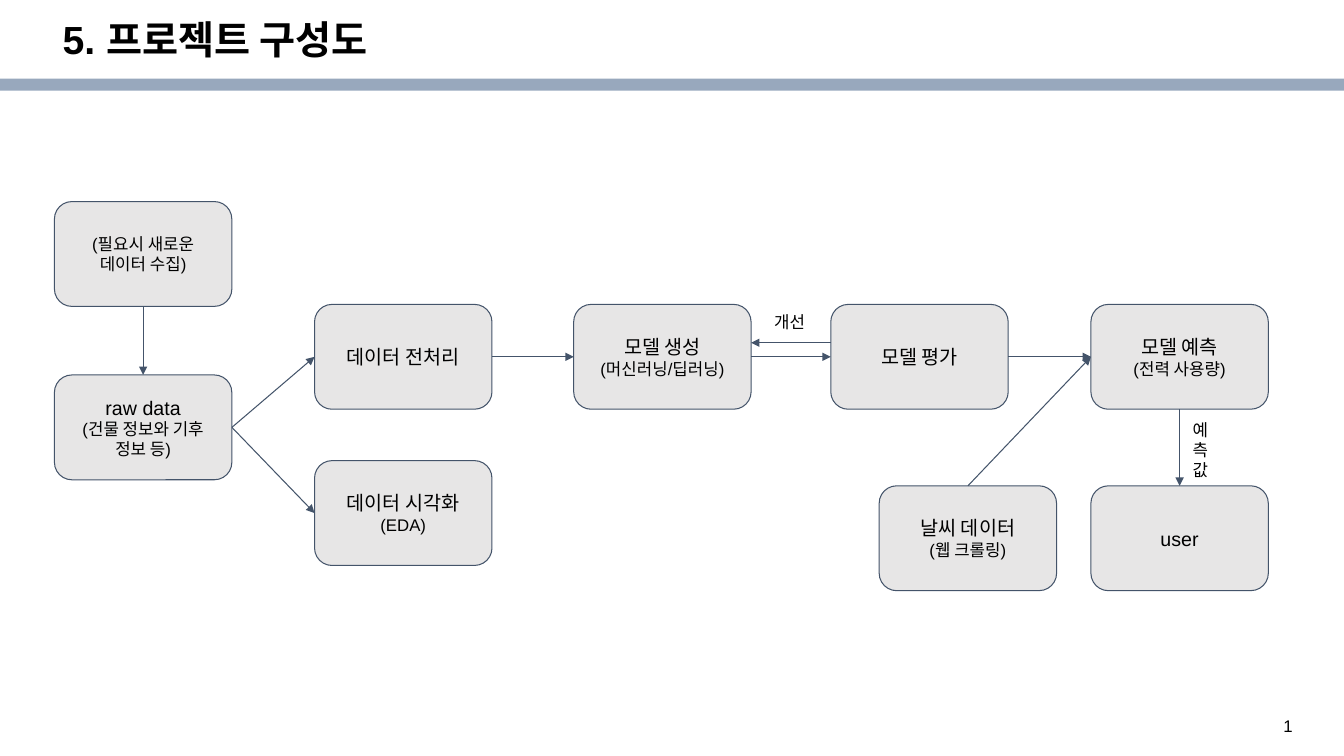
import pptx
import pptx.util
import pptx.dml.color
import pptx.enum.shapes
import pptx.enum.text
import pptx.oxml
import pptx.oxml.ns
import lxml.etree

Inches, Pt = pptx.util.Inches, pptx.util.Pt
RGBColor = pptx.dml.color.RGBColor
Anchor = pptx.enum.text.MSO_ANCHOR
Align = pptx.enum.text.PP_ALIGN
AutoSize = pptx.enum.text.MSO_AUTO_SIZE
Preset = pptx.enum.shapes.MSO_SHAPE
STRAIGHT = pptx.enum.shapes.MSO_CONNECTOR.STRAIGHT
qn = pptx.oxml.ns.qn

BLACK = RGBColor(0x00, 0x00, 0x00)
BAND = RGBColor(0x98, 0xA8, 0xBD)
GREY = RGBColor(0xE7, 0xE6, 0xE6)
SLATE = RGBColor(0x44, 0x54, 0x6A)
FONT = "Arial"
TOP, LEFT, BOTTOM, RIGHT = range(4)

TITLE = "5. 프로젝트 구성도"
PAGE_NUMBER = "7"
NODE_WIDTH, NODE_HEIGHT = 1.76, 1.04
COLUMNS = {"source": 0.54, "prepare": 3.12, "build": 5.69, "evaluate": 8.24, "weather": 8.72, "predict": 10.82}
MAIN_ROW, LOWER_ROW = 3.02, 4.82
NODES = {
    "collect": ("source", 2, [("(필요시 새로운 데이터 수집)", 12)]),
    "raw": ("source", 3.72, [("raw data", 14), ("(건물 정보와 기후 정보 등)", 12)]),
    "clean": ("prepare", MAIN_ROW, [("데이터 전처리", 14)]),
    "visualise": ("prepare", 4.57, [("데이터 시각화", 14), ("(EDA)", 12)]),
    "build": ("build", MAIN_ROW, [("모델 생성", 14), ("(머신러닝/딥러닝)", 12)]),
    "evaluate": ("evaluate", MAIN_ROW, [("모델 평가", 14)]),
    "predict": ("predict", MAIN_ROW, [("모델 예측", 14), ("(전력 사용량)", 12)]),
    "weather": ("weather", LOWER_ROW, [("날씨 데이터", 14), ("(웹 크롤링)", 12)]),
    "user": ("predict", LOWER_ROW, [("user", 14)]),
}
FLOWS = [
    ("collect", BOTTOM, "raw", TOP),
    ("raw", RIGHT, "clean", LEFT),
    ("raw", RIGHT, "visualise", LEFT),
    ("clean", RIGHT, "build", LEFT),
    ("build", RIGHT, "evaluate", LEFT),
    ("evaluate", RIGHT, "predict", LEFT),
    ("weather", TOP, "predict", LEFT),
    ("predict", BOTTOM, "user", TOP),
]
FEEDBACK_Y = 3.4
LABELS = [
    ((7.58, 2.99, 0.54, 0.4), ["개선"]),
    ((11.73, 4.06, 0.33, 0.81), ["예", "측", "값"]),
]


def write(frame, lines, margin, align=Align.LEFT, bold=False):
    frame.word_wrap = True
    frame.margin_left = frame.margin_right = Inches(0.1)
    frame.margin_top = frame.margin_bottom = Inches(margin)
    for index, (text, size) in enumerate(lines):
        para = frame.add_paragraph() if index else frame.paragraphs[0]
        para.text = text
        para.alignment = align
        para.font.name, para.font.size = FONT, Pt(size)
        para.font.bold = bold
        para.font.color.rgb = BLACK


def add_arrow(page, start_x=0, start_y=0, end_x=0, end_y=0):
    arrow = page.shapes.add_connector(STRAIGHT, *map(Inches, (start_x, start_y, end_x, end_y)))
    arrow.line.color.rgb = SLATE
    arrow.line.width = Pt(0.75)
    line = arrow.line._get_or_add_ln()
    lxml.etree.SubElement(line, qn("a:tailEnd"), type="triangle")
    lxml.etree.SubElement(arrow._element.spPr, qn("a:effectLst"))
    return arrow


def add_node(page, left, top, lines):
    node = page.shapes.add_shape(
        Preset.ROUNDED_RECTANGLE, *map(Inches, (left, top, NODE_WIDTH, NODE_HEIGHT)))
    node.shadow.inherit = False
    node.fill.solid()
    node.fill.fore_color.rgb = GREY
    node.line.color.rgb = SLATE
    node.line.width = Pt(0.75)
    node.text_frame.vertical_anchor = Anchor.MIDDLE
    write(node.text_frame, lines, 0.1, Align.CENTER)
    return node


def add_page_number(page):
    box = page.shapes.add_textbox(*map(Inches, (12.63, 7.05, 0.52, 0.27)))
    write(box.text_frame, [(PAGE_NUMBER, 12)], 0.05)
    para = box.text_frame.paragraphs[0]
    span = para.runs[0]
    span.font.name, span.font.size = FONT, Pt(12)
    span.font.color.rgb = BLACK
    field = span._r
    field.tag = qn("a:fld")
    field.set("id", "{B6F15528-21DE-4FAA-801E-634DDDAF4B2B}")
    field.set("type", "slidenum")


deck = pptx.Presentation()
deck.slide_width, deck.slide_height = Inches(13.33), Inches(7.5)
page = deck.slides.add_slide(deck.slide_layouts.get_by_name("Title Only"))

band = page.shapes.add_shape(Preset.RECTANGLE, 0, Inches(0.78), deck.slide_width, Inches(0.12))
band.shadow.inherit = False
band.fill.solid()
band.fill.fore_color.rgb = BAND
band.line.fill.background()

title = page.shapes.title
title.left, title.top, title.width, title.height = map(Inches, (0.52, 0.15, 11.5, 0.53))
title.text_frame.vertical_anchor = Anchor.TOP
title.text_frame.auto_size = AutoSize.NONE
write(title.text_frame, [(TITLE, 28)], 0.05, bold=True)
title.text_frame.paragraphs[0].line_spacing = 0.9

nodes = {name: add_node(page, COLUMNS[column], top, lines)
         for name, (column, top, lines) in NODES.items()}

for source, source_side, target, target_side in FLOWS:
    arrow = add_arrow(page)
    arrow.begin_connect(nodes[source], source_side)
    arrow.end_connect(nodes[target], target_side)

add_arrow(page, COLUMNS["evaluate"], FEEDBACK_Y, COLUMNS["build"] + NODE_WIDTH, FEEDBACK_Y)

for place, words in LABELS:
    label = page.shapes.add_textbox(*map(Inches, place))
    write(label.text_frame, [(word, 12) for word in words], 0.1)
    label.text_frame.auto_size = AutoSize.SHAPE_TO_FIT_TEXT

add_page_number(page)
deck.save("out.pptx")
